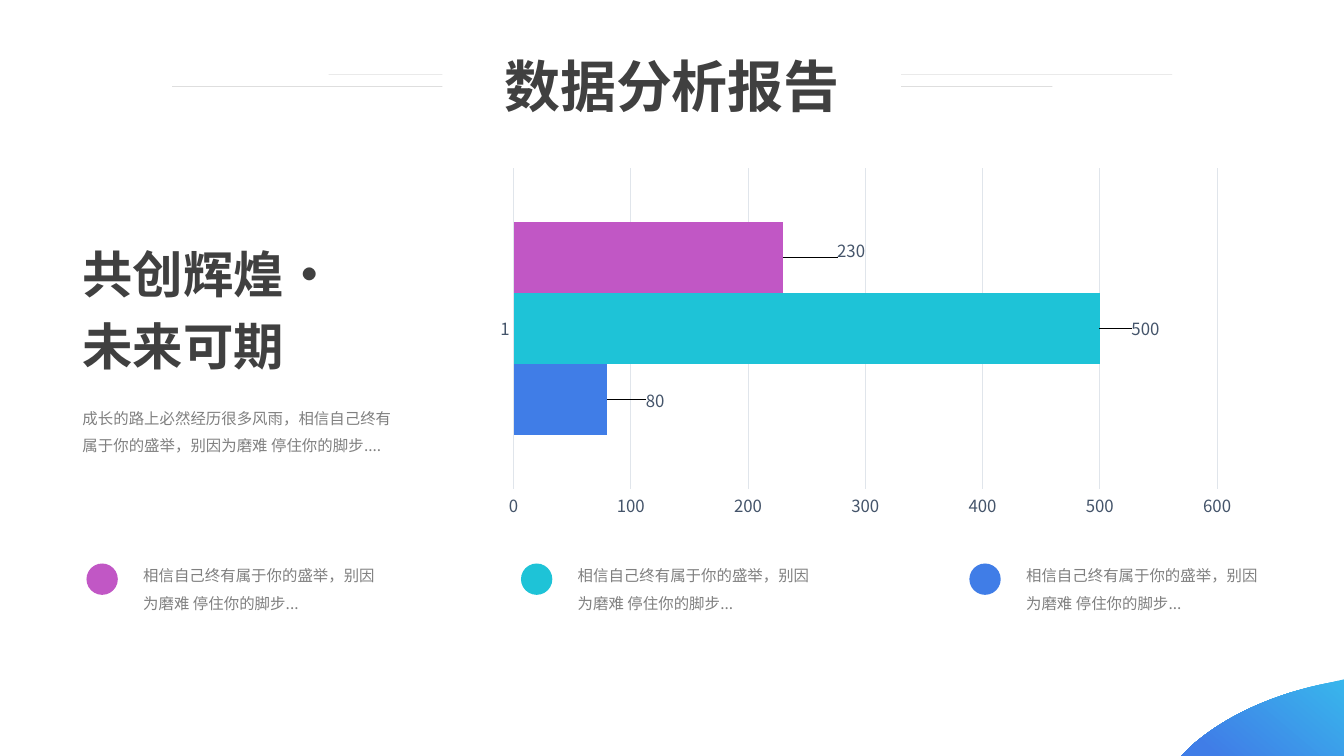
import lxml.etree
import pptx
import pptx.chart.data
import pptx.dml.color
import pptx.enum.chart
import pptx.enum.shapes
import pptx.enum.text
import pptx.oxml.ns
import pptx.util

Cm = pptx.util.Cm
Pt = pptx.util.Pt
qn = pptx.oxml.ns.qn

# Content
TITLE = ["数据分析报告"]
HEADING = ["共创辉煌·", "未来可期"]
DESCRIPTION = ["成长的路上必然经历很多风雨，相信自己终有属于你的盛举，别因为磨难 停住你的脚步...."]
LEGEND_TEXT = ["相信自己终有属于你的盛举，别因为磨难 停住你的脚步..."]
CATEGORIES = ["1"]
SERIES = [  # name, value, colour, label shift as a share of the chart
    ("Series 1", 80, "blue", (0.045, 0)),
    ("Series 2", 500, "cyan", (0.036, 0)),
    ("Series 3", 230, "purple", (0.065, -0.02)),
]
LEGEND = [("purple", 2.18), ("cyan", 13.13), ("blue", 24.43)]  # colour, left in cm
TITLE_RULES = [  # from x, to x, y in cm
    (11.15, 8.28, 1.88),
    (11.15, 4.34, 2.18),
    (29.54, 22.71, 1.88),
    (26.52, 22.71, 2.18),
]
PLOT_AREA = {"x": 0.061, "y": 0.02, "w": 0.915, "h": 0.886}
CORNER_POINTS = [(33.87, 17.12), (33.87, 19.05), (29.77, 19.05)]
CORNER_CURVE = [(30.02, 18.8), (30.89, 18.03), (32.11, 17.48), (33.53, 17.2)]
CURVE_STEPS = 24

THEME = {
    "font": "Noto Sans CJK SC",
    "colors": {
        "dark": "404040", "body": "808080", "axis": "44546A", "grid": "E0E5EB",
        "rule": "BFBFBF", "blue": "407DE7", "cyan": "1EC3D7", "purple": "C157C5",
        "sky": "38B6EC",
    },
    "chart_size": 12,
    "title": {"size": 40, "line": 51, "gap": 0, "bold": True, "color": "dark"},
    "heading": {"size": 36, "line": 45, "gap": 6, "bold": True, "color": "dark"},
    "body": {"size": 11, "line": 19.6, "gap": 0, "bold": False, "color": "body"},
}


def color(name):
    return pptx.dml.color.RGBColor.from_string(THEME["colors"][name])


def set_values(target, values):
    for name, value in values.items():
        setattr(target, name, value)


def style_chart_font(font):
    set_values(font, {"name": THEME["font"], "size": Pt(THEME["chart_size"])})
    font.color.rgb = color("axis")


def style_chart_line(line):
    line.color.rgb = color("grid")
    line.width = Pt(0.75)


def add_text(slide, box, lines, style_name, align=pptx.enum.text.PP_ALIGN.LEFT):
    style = THEME[style_name]
    frame = slide.shapes.add_textbox(*map(Cm, box)).text_frame
    set_values(frame, {"word_wrap": True, "auto_size": pptx.enum.text.MSO_AUTO_SIZE.NONE})
    for index, line in enumerate(lines):
        paragraph = frame.add_paragraph() if index else frame.paragraphs[0]
        set_values(paragraph, {"alignment": align, "line_spacing": Pt(style["line"])})
        if index:
            paragraph.space_before = Pt(style["gap"])
        run = paragraph.add_run()
        run.text = line
        set_values(run.font, {"name": THEME["font"], "size": Pt(style["size"]),
                              "bold": style["bold"]})
        run.font.color.rgb = color(style["color"])
        east_asian = lxml.etree.SubElement(run.font._element, qn("a:ea"))
        east_asian.set("typeface", THEME["font"])


def make_layout(values, inner=False):
    layout = lxml.etree.Element(qn("c:layout"))
    manual = lxml.etree.SubElement(layout, qn("c:manualLayout"))
    settings = {"x": values["x"], "y": values["y"]}
    if inner:
        settings = {"layoutTarget": "inner", "xMode": "edge", "yMode": "edge", **values}
    for name, value in settings.items():
        lxml.etree.SubElement(manual, qn("c:" + name)).set("val", str(value))
    return layout


def add_corner(slide):
    start, first, second, end = CORNER_CURVE
    points = list(CORNER_POINTS)
    for step in range(CURVE_STEPS + 1):
        t = step / CURVE_STEPS
        weights = ((1 - t) ** 3, 3 * t * (1 - t) ** 2, 3 * t ** 2 * (1 - t), t ** 3)
        points.append(tuple(sum(weight * point[axis] for weight, point
                                in zip(weights, CORNER_CURVE)) for axis in (0, 1)))
    points = [(Cm(x), Cm(y)) for x, y in points]
    builder = slide.shapes.build_freeform(*points[0])
    builder.add_line_segments(points[1:], close=True)
    corner = builder.convert_to_shape()
    corner.shadow.inherit = False
    corner.line.fill.background()
    corner.fill.gradient()
    corner.fill.gradient_angle = 230
    for stop, (name, position) in zip(corner.fill.gradient_stops, [("sky", 0), ("blue", 0.87)]):
        stop.color.rgb = color(name)
        stop.position = position


def add_bar_chart(slide):
    data = pptx.chart.data.CategoryChartData()
    data.categories = CATEGORIES
    for name, value, _, _ in SERIES:
        data.add_series(name, [value])
    chart = slide.shapes.add_chart(
        pptx.enum.chart.XL_CHART_TYPE.BAR_CLUSTERED,
        Cm(11.76), Cm(4.06), Cm(19.38), Cm(9.12), data).chart
    set_values(chart, {"has_legend": False, "has_title": False})
    style_chart_font(chart.font)
    plot = chart.plots[0]
    set_values(plot, {"gap_width": 150, "overlap": 0, "vary_by_categories": False})

    # Axes
    no_tick = pptx.enum.chart.XL_TICK_MARK.NONE
    for axis in (chart.category_axis, chart.value_axis):
        set_values(axis, {"major_tick_mark": no_tick, "minor_tick_mark": no_tick})
        style_chart_font(axis.tick_labels.font)
    chart.category_axis.has_major_gridlines = False
    style_chart_line(chart.category_axis.format.line)
    set_values(chart.value_axis, {"minimum_scale": 0, "maximum_scale": 600, "major_unit": 100,
                                  "has_major_gridlines": True})
    chart.value_axis.format.line.fill.background()
    style_chart_line(chart.value_axis.major_gridlines.format.line)

    # Bars and their shifted labels
    for series, (_, _, color_name, (shift_x, shift_y)) in zip(plot.series, SERIES):
        series.format.fill.solid()
        series.format.fill.fore_color.rgb = color(color_name)
        label = series.points[0].data_label
        style_chart_font(label.font)
        label.position = pptx.enum.chart.XL_LABEL_POSITION.OUTSIDE_END
        index = series._element.find(".//" + qn("c:dLbl") + "/" + qn("c:idx"))
        index.addnext(make_layout({"x": shift_x, "y": shift_y}))

    # Plot position
    plot_area = chart._chartSpace.find(".//" + qn("c:plotArea"))
    for layout in plot_area.findall(qn("c:layout")):
        plot_area.remove(layout)
    plot_area.insert(0, make_layout(PLOT_AREA, inner=True))


def add_legend(slide):
    for color_name, left in LEGEND:
        add_text(slide, (left + 1.18, 13.92, 6.58, 1.65), LEGEND_TEXT, "body")
        dot = slide.shapes.add_shape(pptx.enum.shapes.MSO_SHAPE.OVAL,
                                     Cm(left), Cm(14.2), Cm(0.79), Cm(0.79))
        dot.shadow.inherit = False
        dot.fill.solid()
        dot.fill.fore_color.rgb = color(color_name)
        dot.line.fill.background()


def add_title_rules(slide):
    for start, end, top in TITLE_RULES:
        rule = slide.shapes.add_connector(pptx.enum.shapes.MSO_CONNECTOR.STRAIGHT,
                                          Cm(start), Cm(top), Cm(end), Cm(top))
        rule.line.color.rgb = color("rule")
        rule.line.width = Pt(0.5)
        properties = rule._element.spPr
        tint = properties.find(".//" + qn("a:srgbClr"))
        lxml.etree.SubElement(tint, qn("a:alpha")).set("val", "50000")
        lxml.etree.SubElement(properties, qn("a:effectLst"))


def main():
    presentation = pptx.Presentation()
    set_values(presentation, {"slide_width": Cm(33.87), "slide_height": Cm(19.05)})
    slide = presentation.slides.add_slide(presentation.slide_layouts[6])
    add_corner(slide)
    add_bar_chart(slide)
    add_legend(slide)
    add_text(slide, (1.83, 9.96, 8.59, 2.29), DESCRIPTION, "body")
    add_text(slide, (1.83, 5.94, 9.07, 3.63), HEADING, "heading")
    add_text(slide, (12.17, 1.07, 9.53, 1.96), TITLE, "title", pptx.enum.text.PP_ALIGN.CENTER)
    add_title_rules(slide)
    presentation.save("out.pptx")


if __name__ == "__main__":
    main()
